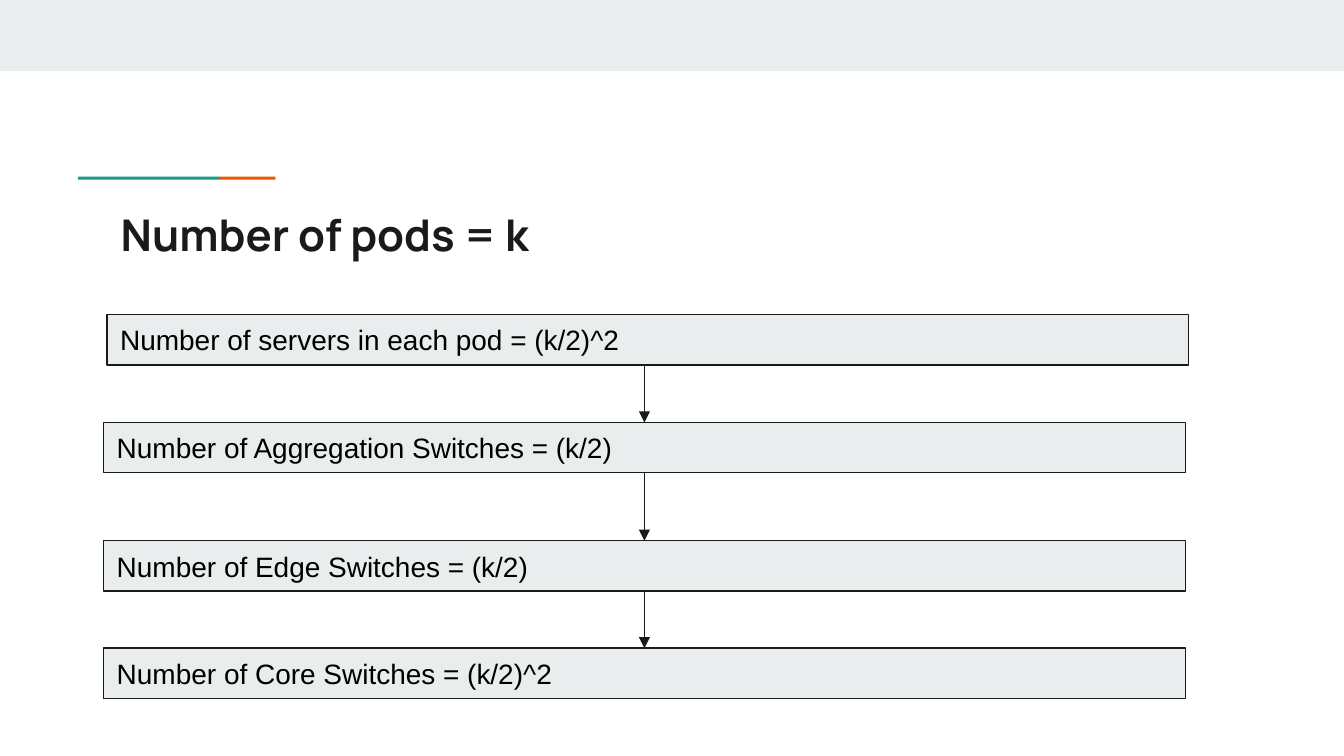
from dataclasses import dataclass
from itertools import pairwise

from lxml.etree import SubElement
from pptx import Presentation
from pptx.dml.color import RGBColor as RGB
from pptx.enum.shapes import MSO_CONNECTOR as CONN, MSO_SHAPE as SHAPE
from pptx.enum.text import MSO_ANCHOR as ANCHOR, PP_ALIGN as ALIGN
from pptx.oxml.ns import qn
from pptx.util import Inches, Pt


@dataclass(frozen=True)
class Theme:
    panel: RGB = RGB.from_string("E9EDEE")
    ink: RGB = RGB.from_string("1A1A1A")
    text: RGB = RGB.from_string("000000")
    teal: RGB = RGB.from_string("1A9988")
    orange: RGB = RGB.from_string("EB5600")
    title_font: str = "Manrope"
    body_font: str = "Arial"
    title_size: float = 23.4
    body_size: float = 15
    line: float = 0.75


THEME = Theme()
COLS, ROWS = 100, 56.25  # square grid cells over the whole 16:9 slide
INSET = 1


def grid(n):
    """Length of n grid cells."""
    return Inches(10 * n / COLS)


def add_rect(slide, box, fill, line=None):
    sp = slide.shapes.add_shape(SHAPE.RECTANGLE, *map(grid, box))
    sp.shadow.inherit = False
    sp.fill.solid()
    sp.fill.fore_color.rgb = fill
    if line is None:
        sp.line.fill.background()
    else:
        sp.line.color.rgb = line
        sp.line.width = Pt(THEME.line)
    return sp


def set_text(sp, text, font, size, color, anchor, bold=False):
    tf = sp.text_frame
    tf.word_wrap = True
    tf.vertical_anchor = anchor
    tf.margin_left = tf.margin_right = grid(INSET)
    tf.margin_top = tf.margin_bottom = grid(INSET)
    p = tf.paragraphs[0]
    p.text = text
    p.alignment = ALIGN.LEFT
    p.font.name, p.font.size, p.font.bold = font, Pt(size), bold
    p.font.color.rgb = color


def add_arrow(slide, x, top, bottom):
    cxn = slide.shapes.add_connector(CONN.STRAIGHT, *map(grid, (x, top, x, bottom)))
    cxn.line.color.rgb = THEME.ink
    cxn.line.width = Pt(THEME.line)
    sp_pr = cxn._element.spPr
    SubElement(sp_pr.find(qn("a:ln")), qn("a:tailEnd"), type="triangle")
    SubElement(sp_pr, qn("a:effectLst"))


def add_accent(slide, box):
    """Two-colour rule: teal, then a shorter orange end."""
    left, top, width, height = box
    teal_width = 0.72 * width
    add_rect(slide, (left, top, teal_width, height), THEME.teal)
    add_rect(slide, (left + teal_width, top, width - teal_width, height), THEME.orange)


def add_title(slide, box, text):
    sp = slide.shapes.add_textbox(*map(grid, box))
    set_text(sp, text, THEME.title_font, THEME.title_size, THEME.ink,
             ANCHOR.TOP, bold=True)


def add_flow(slide, box, bar_height, steps):
    """Stack of bars joined by arrows; each step is (indent, row, text)."""
    left, top, width, _ = box
    for indent, row, text in steps:
        bar = add_rect(slide, (left + indent, top + row, width, bar_height),
                       THEME.panel, THEME.ink)
        set_text(bar, text, THEME.body_font, THEME.body_size, THEME.text,
                 ANCHOR.MIDDLE)
    for (_, row, _), (_, next_row, _) in pairwise(steps):
        add_arrow(slide, left + width / 2, top + row + bar_height, top + next_row)


def main():
    prs = Presentation()
    prs.slide_width, prs.slide_height = grid(COLS), grid(ROWS)
    slide = prs.slides.add_slide(prs.slide_layouts[6])

    # Header band and accent rule
    add_rect(slide, (0, 0, COLS, 5.3), THEME.panel)
    add_accent(slide, (5.8, 13.15, 14.7, 0.22))

    # Title
    add_title(slide, (8, 14.45, 84.1, 5.9), "Number of pods = k")

    # Flow of counts
    add_flow(slide, (7.7, 23.4, 80.5, 28.6), 3.75, [
        (0.25, 0, "Number of servers in each pod = (k/2)^2"),
        (0, 8.03, "Number of Aggregation Switches = (k/2)"),
        (0, 16.83, "Number of Edge Switches = (k/2)"),
        (0, 24.83, "Number of Core Switches = (k/2)^2"),
    ])

    prs.save("out.pptx")


if __name__ == "__main__":
    main()
